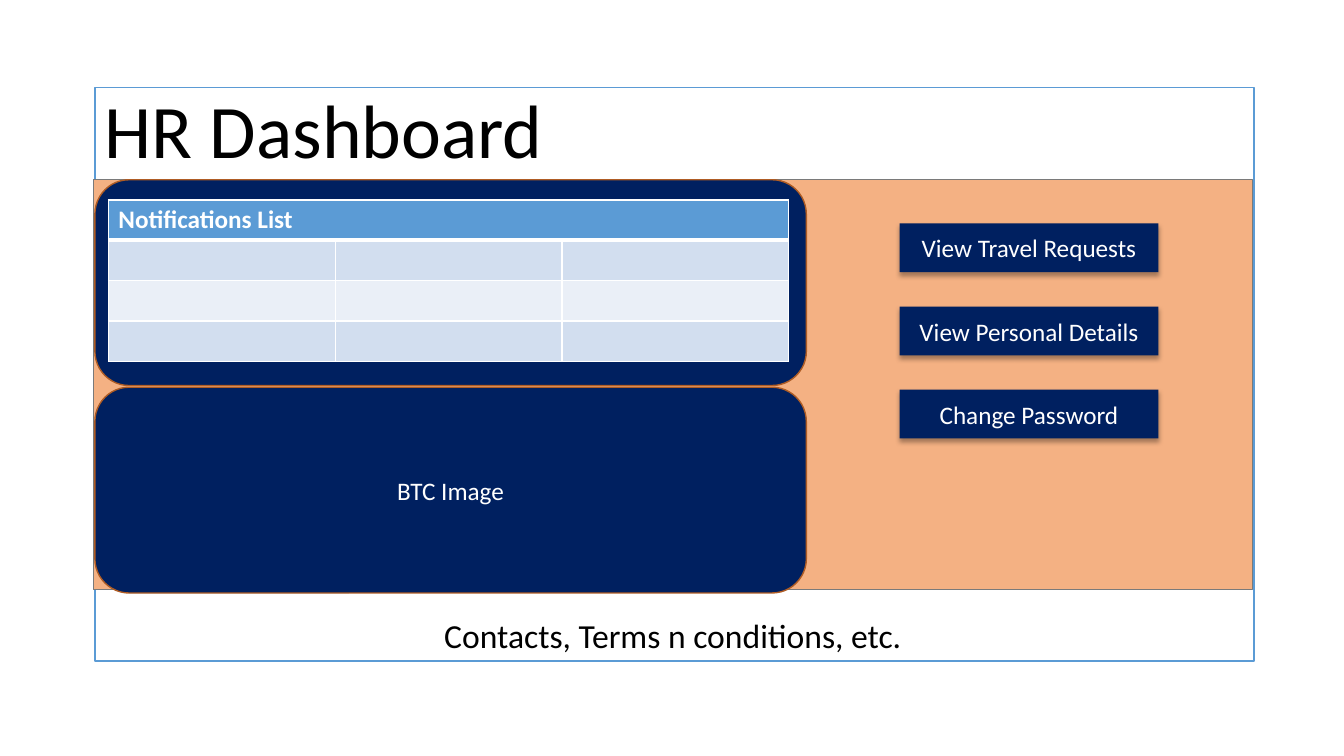
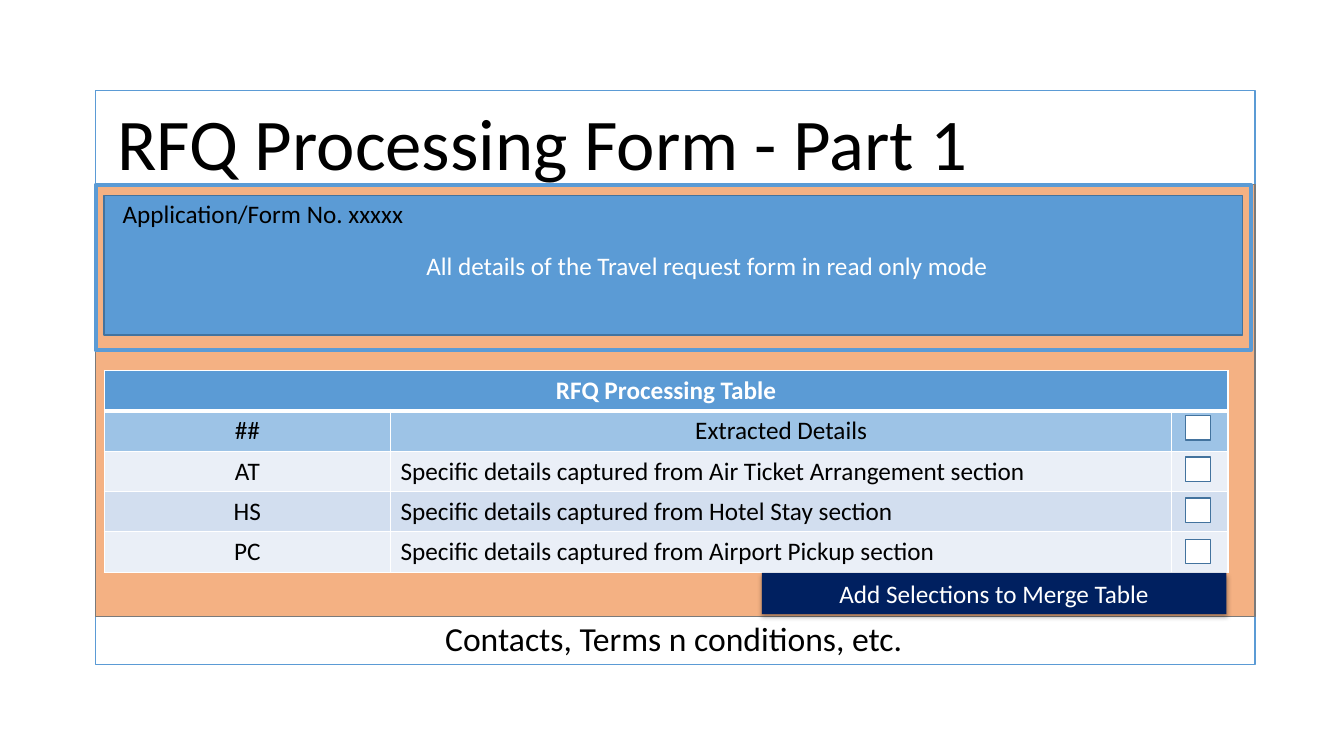
import pptx
import pptx.util
import pptx.oxml
import pptx.oxml.ns
import pptx.dml.color
import pptx.enum.shapes
import pptx.enum.text
from dataclasses import dataclass

Kind = pptx.enum.shapes.MSO_SHAPE
Align = pptx.enum.text.PP_ALIGN
Anchor = pptx.enum.text.MSO_ANCHOR
Unit = pptx.util.Inches(1) / 12


@dataclass(frozen=True)
class Theme:
    font: str = "Calibri"
    white: str = "FFFFFF"
    black: str = "000000"
    navy: str = "002060"
    peach: str = "F4B183"
    blue: str = "5B9BD5"
    sky: str = "9DC3E6"
    band: str = "D2DEEF"
    pale: str = "EAEFF7"
    edge: str = "43739E"
    rust: str = "AF5C24"
    grey: str = "7A7A7A"
    foot: int = 24
    text: int = 18


theme = Theme()


@dataclass(frozen=True)
class Box:
    x: float
    y: float
    w: float
    h: float

    def inner(self, x, y, w, h):
        return Box(self.x + x, self.y + y, w, h)

    def spots(self):
        return [round(v * Unit) for v in (self.x, self.y, self.w, self.h)]


def tint(code):
    return pptx.dml.color.RGBColor.from_string(code)


def apply(item, form):
    for name, value in form.items():
        setattr(item, name, value)


def write(frame, text, color=theme.black, size=theme.text,
          align=Align.CENTER, bold=False, **form):
    apply(frame, form)
    para = frame.paragraphs[0]
    para.alignment = align
    run = para.add_run()
    run.text = text
    apply(run.font, {"name": theme.font, "size": pptx.util.Pt(size), "bold": bold})
    run.font.color.rgb = tint(color)


def shape(slide, box, fill=None, line=None, width=1, kind=Kind.RECTANGLE):
    item = slide.shapes.add_shape(kind, *box.spots())
    item.shadow.inherit = False
    if fill:
        item.fill.solid()
        item.fill.fore_color.rgb = tint(fill)
    else:
        item.fill.background()
    if line:
        item.line.color.rgb = tint(line)
        item.line.width = pptx.util.Pt(width)
    else:
        item.line.fill.background()
    return item


def label(slide, box, text, **form):
    item = slide.shapes.add_textbox(*box.spots())
    write(item.text_frame, text, word_wrap=True, **form)


def button(slide, box, text):
    item = shape(slide, box, theme.navy)
    glow = item._element.spPr.find(pptx.oxml.ns.qn("a:effectLst"))
    glow.append(pptx.oxml.parse_xml(
        f'<a:outerShdw {pptx.oxml.ns.nsdecls("a")} blurRad="44450" dist="27940" '
        'dir="5400000" algn="ctr" rotWithShape="0"><a:srgbClr val="000000">'
        '<a:alpha val="32000"/></a:srgbClr></a:outerShdw>'))
    write(item.text_frame, text, theme.white, vertical_anchor=Anchor.MIDDLE, word_wrap=True)


def border(cell, last):
    props = cell._tc.get_or_add_tcPr()
    for spot, side in enumerate("LRTB"):
        width = pptx.util.Pt(last if side == "B" else 1)
        props.insert(spot, pptx.oxml.parse_xml(
            f'<a:ln{side} {pptx.oxml.ns.nsdecls("a")} w="{width}"><a:solidFill>'
            f'<a:srgbClr val="{theme.white}"/></a:solidFill></a:ln{side}>'))


def table(slide, box, cols, rows, fills, align):
    high = box.h / len(rows)
    grid = slide.shapes.add_table(len(rows), len(cols), *box.spots()).table
    apply(grid, {"first_row": False, "horz_banding": False})
    for col, wide in zip(grid.columns, cols):
        col.width = round(wide * Unit)
    for r, (texts, fill) in enumerate(zip(rows, fills)):
        grid.rows[r].height = round(high * Unit)
        for c, text in enumerate(texts):
            cell = grid.cell(r, c)
            cell.fill.solid()
            cell.fill.fore_color.rgb = tint(fill)
            border(cell, 1 if r else 3)
            if text:
                write(cell.text_frame, text, theme.black if r else theme.white,
                      align=align(r, c), bold=not r)
    grid.cell(0, 0).merge(grid.cell(0, len(cols) - 1))


def page(deck, frame, body, title, text, size):
    slide = deck.slides.add_slide(deck.slide_layouts[6])
    shape(slide, frame, theme.white, theme.blue)
    shape(slide, body, theme.peach, theme.grey)
    label(slide, title, text, size=size, align=Align.LEFT)
    label(slide, frame.inner(-0.3, 62.2, 138.2, 6), "Contacts, Terms n conditions, etc.",
          size=theme.foot)
    return slide


def board(deck):
    frame = Box(11.3, 10.4, 138, 68.3)
    body = frame.inner(-0.2, 11, 138, 48.8)
    slide = page(deck, frame, body, frame.inner(0, -1.1, 138, 12.1), "HR Dashboard", 54)
    panels = [shape(slide, body.inner(0.2, 24.7 * n, 84.7, 24.5), theme.navy, theme.rust,
                    kind=Kind.ROUNDED_RECTANGLE) for n in range(2)]
    write(panels[1].text_frame, "BTC Image", theme.white, vertical_anchor=Anchor.MIDDLE)
    for n, text in enumerate(("View Travel Requests", "View Personal Details",
                              "Change Password")):
        button(slide, body.inner(96, 5.2 + 9.9 * n, 30.8, 5.8), text)
    table(slide, body.inner(1.8, 2.4, 81, 19.2), [27] * 3,
          [["Notifications List", "", ""]] + [[""] * 3] * 3,
          [theme.blue, theme.band, theme.pale, theme.band], lambda r, c: Align.LEFT)


def form(deck):
    frame = Box(11.4, 10.8, 138, 68.3)
    body = frame.inner(0, 11.2, 138, 51.4)
    slide = page(deck, frame, body, frame.inner(1.4, 0.2, 133.4, 11.8),
                 "RFQ Processing Form - Part 1", 52)
    shape(slide, body.inner(0, 0, 137.5, 19.7), line=theme.blue, width=3)
    panel = shape(slide, body.inner(1, 1.3, 135.5, 16.6), theme.blue, theme.edge)
    write(panel.text_frame, "All details of the Travel request form in read only mode",
          theme.white, vertical_anchor=Anchor.MIDDLE, margin_left=round(9.2 * Unit))
    label(slide, body.inner(1.1, 1, 37.6, 8.5), "Application/Form No. xxxxx")
    lead = "Specific details captured from "
    rows = [["RFQ Processing Table", "", ""], ["##", "Extracted Details", ""]]
    rows += [[code, f"{lead}{name} section", ""] for code, name in (
        ("AT", "Air Ticket Arrangement"), ("HS", "Hotel Stay"), ("PC", "Airport Pickup"))]
    table(slide, body.inner(1, 22.1, 133.8, 24), [34.1, 93, 6.7], rows,
          [theme.blue, theme.sky, theme.pale, theme.band, theme.pale],
          lambda r, c: Align.LEFT if r > 1 and c == 1 else Align.CENTER)
    for n in range(4):
        shape(slide, body.inner(129.7, 27.5 + 4.9 * n, 3, 2.9), theme.white, theme.edge)
    button(slide, body.inner(79.3, 46.2, 55.3, 4.9), "Add Selections to Merge Table")


deck = pptx.Presentation()
apply(deck, {"slide_width": round(160 * Unit), "slide_height": round(90 * Unit)})
board(deck)
form(deck)
deck.save("out.pptx")
